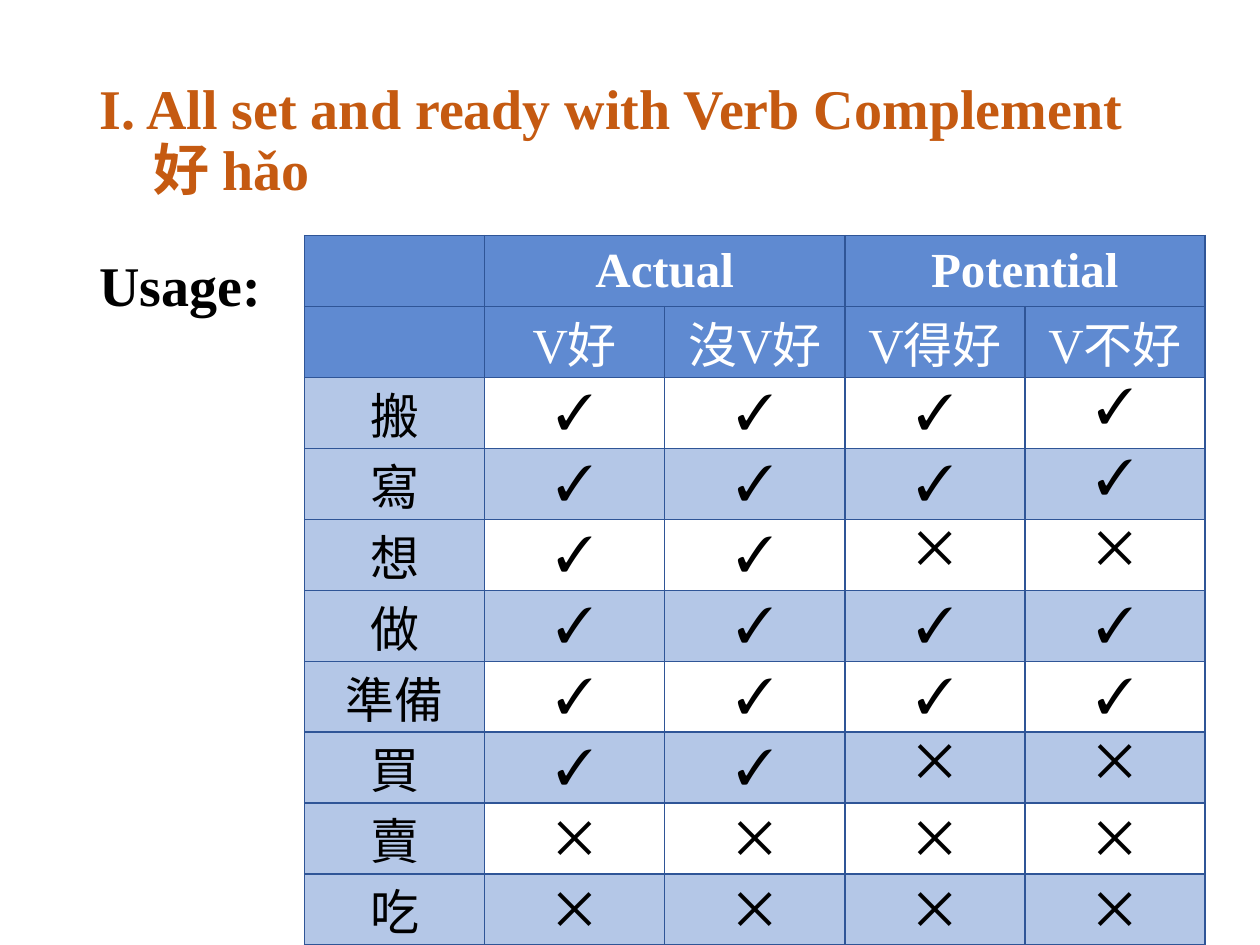
import pptx
import pptx.dml.color
import pptx.enum.text
import pptx.oxml
import pptx.oxml.ns
import pptx.util
from pptx.util import Cm, Pt

COLORS = {
    "title": "C55A11",
    "text": "000000",
    "header": "5F8AD1",
    "header_text": "FFFFFF",
    "band": "B4C7E7",
    "plain": "FFFFFF",
    "border": "2F5597",
}
LATIN, CJK = "Times New Roman", "Noto Sans CJK SC"
COMPLEMENTS = ["V好", "沒V好", "V得好", "V不好"]
# verb, one mark per complement, columns whose mark sits on a tight line
VERBS = [
    ("搬", "✓✓✓✓", [4]),
    ("寫", "✓✓✓✓", [4]),
    ("想", "✓✓✕✕", [3, 4]),
    ("做", "✓✓✓✓", []),
    ("準備", "✓✓✓✓", []),
    ("買", "✓✓✕✕", [3, 4]),
    ("賣", "✕✕✕✕", []),
    ("吃", "✕✕✕✕", []),
]


def rgb(name):
    return pptx.dml.color.RGBColor.from_string(COLORS[name])


class GrammarSlide:
    def __init__(self, prs):
        self.slide = prs.slides.add_slide(prs.slide_layouts[1])

    def run(self, paragraph, text, size, color, bold=False, font=LATIN):
        run = paragraph.add_run()
        run.text = text
        run.font.size = Pt(size)
        run.font.bold = bold
        run.font.name = font
        run.font.color.rgb = rgb(color)
        if max(text) >= "一":  # holds Chinese characters
            latin = run.font._element.find(pptx.oxml.ns.qn("a:latin"))
            latin.addnext(pptx.oxml.parse_xml(
                f'<a:ea {pptx.oxml.ns.nsdecls("a")} typeface="{CJK}"/>'))

    def heading(self, holder, lines, top, height, color, anchor, hanging=0):
        """Fill a placeholder with one unbulleted, bold paragraph."""
        holder.left, holder.top = Cm(1.75), Cm(top)
        holder.width, holder.height = Cm(21.9), Cm(height)
        frame = holder.text_frame
        frame.word_wrap = True
        frame.auto_size = pptx.enum.text.MSO_AUTO_SIZE.NONE
        frame.vertical_anchor = anchor
        paragraph = frame.paragraphs[0]
        properties = paragraph._p.get_or_add_pPr()
        properties.set("marL", str(Cm(hanging)))
        properties.set("indent", str(-Cm(hanging)))
        properties.append(pptx.oxml.parse_xml(
            f'<a:buNone {pptx.oxml.ns.nsdecls("a")}/>'))
        paragraph.alignment = pptx.enum.text.PP_ALIGN.LEFT
        paragraph.line_spacing = 0.9
        paragraph.space_before = Pt(0)
        for number, line in enumerate(lines):
            if number:
                paragraph.add_line_break()
            self.run(paragraph, line, 32, color, bold=True)

    def table(self, rows, columns, left, top, column_width, row_height):
        table = self.slide.shapes.add_table(
            rows, columns, Cm(left), Cm(top),
            Cm(column_width * columns), Cm(row_height * rows)).table
        for column in table.columns:
            column.width = Cm(column_width)
        for row in table.rows:
            row.height = Cm(row_height)
        return table

    def cell(self, cell, text, fill, color="text", bold=False, font=LATIN,
             tight=False):
        cell.fill.solid()
        cell.fill.fore_color.rgb = rgb(fill)
        self.borders(cell)
        cell.vertical_anchor = pptx.enum.text.MSO_ANCHOR.MIDDLE
        cell.margin_left = cell.margin_right = Cm(0.18)
        cell.margin_top = Pt(12) if tight else 0
        cell.margin_bottom = 0
        paragraph = cell.text_frame.paragraphs[0]
        paragraph.alignment = pptx.enum.text.PP_ALIGN.CENTER
        if tight:
            paragraph.line_spacing = Pt(12)
        if text:
            self.run(paragraph, text, 28, color, bold, font)

    def borders(self, cell):
        properties = cell._tc.get_or_add_tcPr()
        for position, side in enumerate("LRTB"):
            properties.insert(position, pptx.oxml.parse_xml(
                f'<a:ln{side} {pptx.oxml.ns.nsdecls("a")} w="{Pt(1)}">'
                f'<a:solidFill><a:srgbClr val="{COLORS["border"]}"/>'
                f'</a:solidFill></a:ln{side}>'))


def main():
    prs = pptx.Presentation()
    prs.slide_width, prs.slide_height = Cm(25.4), Cm(19.05)
    page = GrammarSlide(prs)
    title, body = page.slide.placeholders
    anchors = pptx.enum.text.MSO_ANCHOR

    page.heading(title, ["I. All set and ready with Verb Complement", "好 hǎo"],
                 1.02, 3.68, "title", anchors.MIDDLE, hanging=1.1)
    page.heading(body, ["Usage:"], 5.08, 12.1, "text", anchors.TOP)

    usage = page.table(len(VERBS) + 2, len(COMPLEMENTS) + 1,
                       6.14, 4.75, 3.63, 1.43)
    headers = [["", "Actual", "", "Potential", ""], [""] + COMPLEMENTS]
    for row, labels in enumerate(headers):
        for column, label in enumerate(labels):
            page.cell(usage.cell(row, column), label, "header", "header_text",
                      bold=row == 0)
    for first in (1, 3):
        usage.cell(0, first).merge(usage.cell(0, first + 1))

    for row, (verb, marks, tight_columns) in enumerate(VERBS, start=2):
        page.cell(usage.cell(row, 0), verb, "band", font=CJK)
        for column, mark in enumerate(marks, start=1):
            page.cell(usage.cell(row, column), mark,
                      "band" if row % 2 else "plain",
                      tight=column in tight_columns)

    prs.save("out.pptx")


if __name__ == "__main__":
    main()
